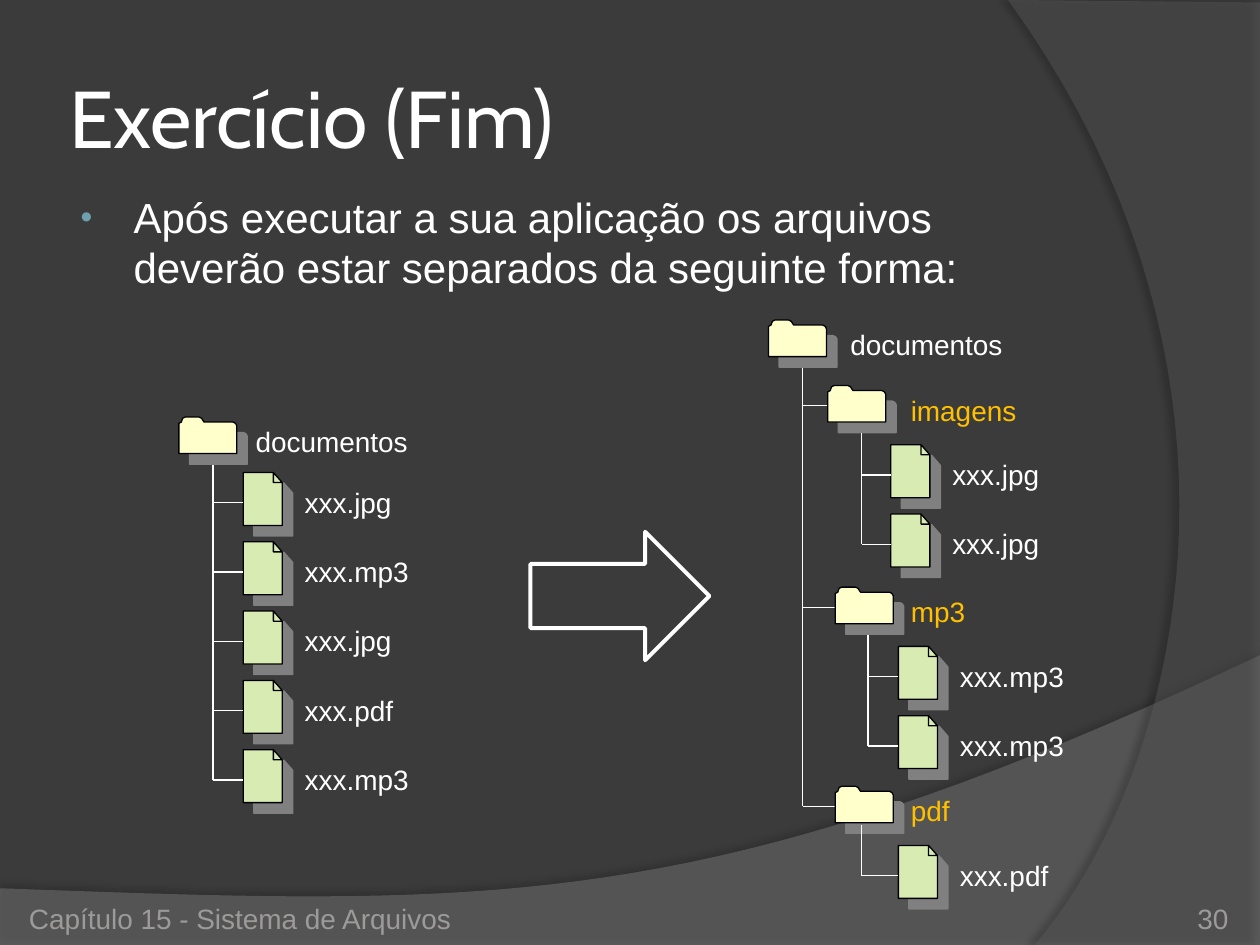
"""Build the slide that shows a folder's files being sorted by type."""
from lxml import etree
from pptx import Presentation
from pptx.dml.color import RGBColor
from pptx.enum import shapes, text
from pptx.oxml import ns
from pptx.util import Inches, Pt

COLORS = {
    "background": "3B3B3B", "wave": "7F7F7F", "arc": "5E5E5E",
    "text": "FFFFFF", "new": "FFC000", "footer": "9D9B9A", "bullet": "6EA0B0",
    "folder": "FFFFCC", "file": "D8EBB3", "outline": "000000", "shadow": "808080",
}
FOLDER = [(0, 0.05), (0.02, 0.04), (0.03, 0.01), (0.05, 0), (0.16, 0), (0.18, 0.01),
          (0.2, 0.04), (0.43, 0.04), (0.45, 0.05), (0.46, 0.07), (0.46, 0.29), (0, 0.29)]
FOLD_TOP, FOLD_INNER, FOLD_SIDE = (0.24, 0), (0.24, 0.08), (0.31, 0.08)
FILE = [(0, 0), FOLD_TOP, FOLD_INNER, FOLD_TOP, FOLD_SIDE, FOLD_INNER, FOLD_SIDE,
        (0.31, 0.42), (0, 0.42)]
FILE_STEP = 0.55
STUB_DROP = 0.24


def rgb(name):
    return RGBColor.from_string(COLORS[name])


def child(parent, tag, **attributes):
    return etree.SubElement(parent, ns.qn(tag), attributes)


def curve(start, first, second, end, steps=40):
    points = []
    for step in range(steps + 1):
        t = step / steps
        weights = ((1 - t) ** 3, 3 * t * (1 - t) ** 2, 3 * t ** 2 * (1 - t), t ** 3)
        points.append(tuple(sum(w * p[axis] for w, p in zip(weights, (start, first, second, end)))
                            for axis in (0, 1)))
    return points


def add_outline(slide, points, fill):
    corners = [(Inches(x), Inches(y)) for x, y in points]
    builder = slide.shapes.build_freeform(*corners[0])
    builder.add_line_segments(corners[1:], close=True)
    outline = builder.convert_to_shape()
    outline.fill.solid()
    outline.fill.fore_color.rgb = rgb(fill)
    return outline


def add_shadow(outline, color, alpha, blur, distance, angle):
    outline.shadow.inherit = False
    effects = outline._element.spPr.find(ns.qn("a:effectLst"))
    shadow = child(effects, "a:outerShdw", blurRad=str(Pt(blur)), dist=str(Pt(distance)),
                   dir=str(angle * 60000), algn="ctr", rotWithShape="0")
    tint = child(shadow, "a:srgbClr", val=COLORS[color])
    child(tint, "a:alpha", val=str(alpha * 1000))


def add_swoosh(slide, points, fill, opacity, shadow):
    swoosh = add_outline(slide, points, fill)
    tint = swoosh._element.spPr.find(".//" + ns.qn("a:srgbClr"))
    child(tint, "a:alpha", val=str(opacity * 1000))
    swoosh.line.fill.background()
    add_shadow(swoosh, "outline", *shadow)


def add_icon(slide, points, x, y, fill):
    icon = add_outline(slide, [(x + dx, y + dy) for dx, dy in points], fill)
    icon.line.color.rgb = rgb("outline")
    icon.line.width = Pt(0.75)
    add_shadow(icon, "shadow", 100, 0, 8.5, 45)


def add_branch(slide, start, end):
    branch = slide.shapes.add_connector(shapes.MSO_CONNECTOR.STRAIGHT,
                                        *map(Inches, (*start, *end)))
    branch.line.color.rgb = rgb("text")
    branch.line.width = Pt(0.75)
    child(branch._element.spPr, "a:effectLst")


def style(paragraph, size, color="text", font="Arial"):
    paragraph.font.size = Pt(size)
    paragraph.font.name = font
    paragraph.font.color.rgb = rgb(color)


def place(holder, left, top, width, height):
    holder.left, holder.top = Inches(left), Inches(top)
    holder.width, holder.height = Inches(width), Inches(height)


def set_margins(frame, left, top, right, bottom):
    frame.margin_left, frame.margin_top = Inches(left), Inches(top)
    frame.margin_right, frame.margin_bottom = Inches(right), Inches(bottom)


def add_label(slide, words, x, y, width=1.1, height=0.47, color="text"):
    label = slide.shapes.add_textbox(*map(Inches, (x, y, width, height)))
    frame = label.text_frame
    frame.word_wrap = True
    frame.vertical_anchor = text.MSO_ANCHOR.MIDDLE
    frame.text = words
    style(frame.paragraphs[0], 16, color)
    return frame


def add_folder(slide, name, x, y, label_x, color="text"):
    add_icon(slide, FOLDER, x, y, "folder")
    add_label(slide, name, label_x, y - 0.04, width=1.42, color=color)


def add_files(slide, names, trunk_x, trunk_top, x, top):
    for row, name in enumerate(names):
        y = top + row * FILE_STEP
        add_icon(slide, FILE, x, y, "file")
        add_branch(slide, (x, y + STUB_DROP), (trunk_x, y + STUB_DROP))
        add_label(slide, name, x + 0.39, y)
    add_branch(slide, (trunk_x, trunk_top), (trunk_x, y + STUB_DROP))


def add_backdrop(slide):
    slide.background.fill.solid()
    slide.background.fill.fore_color.rgb = rgb("background")
    wave = curve((10, 5.2), (5.59, 7.29), (3.91, 7.19), (0, 7.05)) + [(0, 7.51), (10, 7.51)]
    add_swoosh(slide, wave, "wave", 45, (35, 4, 3.5, 270))
    arc = curve((8.21, 7.5), (9.35, 6.19), (10.18, 3), (8, 0)) + [(10, 0.02), (10, 7.5)]
    add_swoosh(slide, arc, "arc", 40, (45, 4, 4, 180))


def fill_title(title):
    place(title, 0.5, 0.3, 8.17, 1.25)
    frame = title.text_frame
    frame.text = "Exercício (Fim)"
    frame.auto_size = text.MSO_AUTO_SIZE.NONE
    frame.vertical_anchor = text.MSO_ANCHOR.MIDDLE
    set_margins(frame, 0.05, 0.05, 0.05, 0.05)
    heading = frame.paragraphs[0]
    heading.alignment = text.PP_ALIGN.LEFT
    style(heading, 46, font="Cabin")


def fill_body(body):
    place(body, 0.5, 1.47, 8.17, 1.37)
    frame = body.text_frame
    frame.text = ("Após executar a sua aplicação os arquivos deverão estar "
                  "separados da seguinte forma:")
    frame.auto_size = text.MSO_AUTO_SIZE.NONE
    task = frame.paragraphs[0]
    properties = task._p.get_or_add_pPr()
    properties.set("marL", str(Inches(0.46)))
    properties.set("indent", str(Inches(-0.42)))
    child(child(properties, "a:buClr"), "a:srgbClr", val=COLORS["bullet"])
    child(properties, "a:buSzPct", val="80000")
    child(properties, "a:buFont", typeface="Arial")
    child(properties, "a:buChar", char="•")
    style(task, 24)


def add_footer(slide, words, x, width, align, top_margin=0):
    frame = add_label(slide, words, x, 7.02, width, 0.4, "footer")
    frame.vertical_anchor = text.MSO_ANCHOR.BOTTOM
    set_margins(frame, 0, top_margin, 0, 0)
    frame.paragraphs[0].alignment = align


def add_before_tree(slide):
    add_folder(slide, "documentos", 1.42, 3.31, 1.93)
    add_files(slide, ["xxx.jpg", "xxx.mp3", "xxx.jpg", "xxx.pdf", "xxx.mp3"],
              1.69, 3.69, 1.93, 3.75)


def add_after_tree(slide):
    add_folder(slide, "documentos", 6.1, 2.54, 6.65)
    add_branch(slide, (6.37, 2.92), (6.37, 6.4))
    for name, x, y, trunk_x, trunk_drop, file_x, files in (
            ("imagens", 6.57, 3.06, 6.84, 0.38, 7.07, ["xxx.jpg"] * 2),
            ("mp3", 6.63, 4.66, 6.89, 0.38, 7.13, ["xxx.mp3"] * 2),
            ("pdf", 6.63, 6.24, 6.84, 0.31, 7.13, ["xxx.pdf"])):
        add_branch(slide, (x, y + 0.16), (6.37, y + 0.16))
        add_folder(slide, name, x, y, 7.13, "new")
        add_files(slide, files, trunk_x, y + trunk_drop, file_x, y + 0.47)


def add_arrow(slide):
    arrow = slide.shapes.add_shape(shapes.MSO_SHAPE.RIGHT_ARROW,
                                   *map(Inches, (4.21, 4.22, 1.42, 1.02)))
    arrow.fill.background()
    arrow.line.color.rgb = rgb("text")
    arrow.line.width = Pt(2.25)
    arrow.shadow.inherit = False


def main():
    deck = Presentation()
    deck.slide_width, deck.slide_height = Inches(10), Inches(7.5)
    slide = deck.slides.add_slide(deck.slide_layouts[1])
    add_backdrop(slide)
    fill_title(slide.shapes.title)
    fill_body(slide.placeholders[1])
    add_before_tree(slide)
    add_after_tree(slide)
    add_arrow(slide)
    add_footer(slide, "Capítulo 15 - Sistema de Arquivos", 0.23, 3.59, text.PP_ALIGN.LEFT, 0.05)
    add_footer(slide, "30", 8.92, 0.83, text.PP_ALIGN.RIGHT)
    deck.save("out.pptx")


if __name__ == "__main__":
    main()
